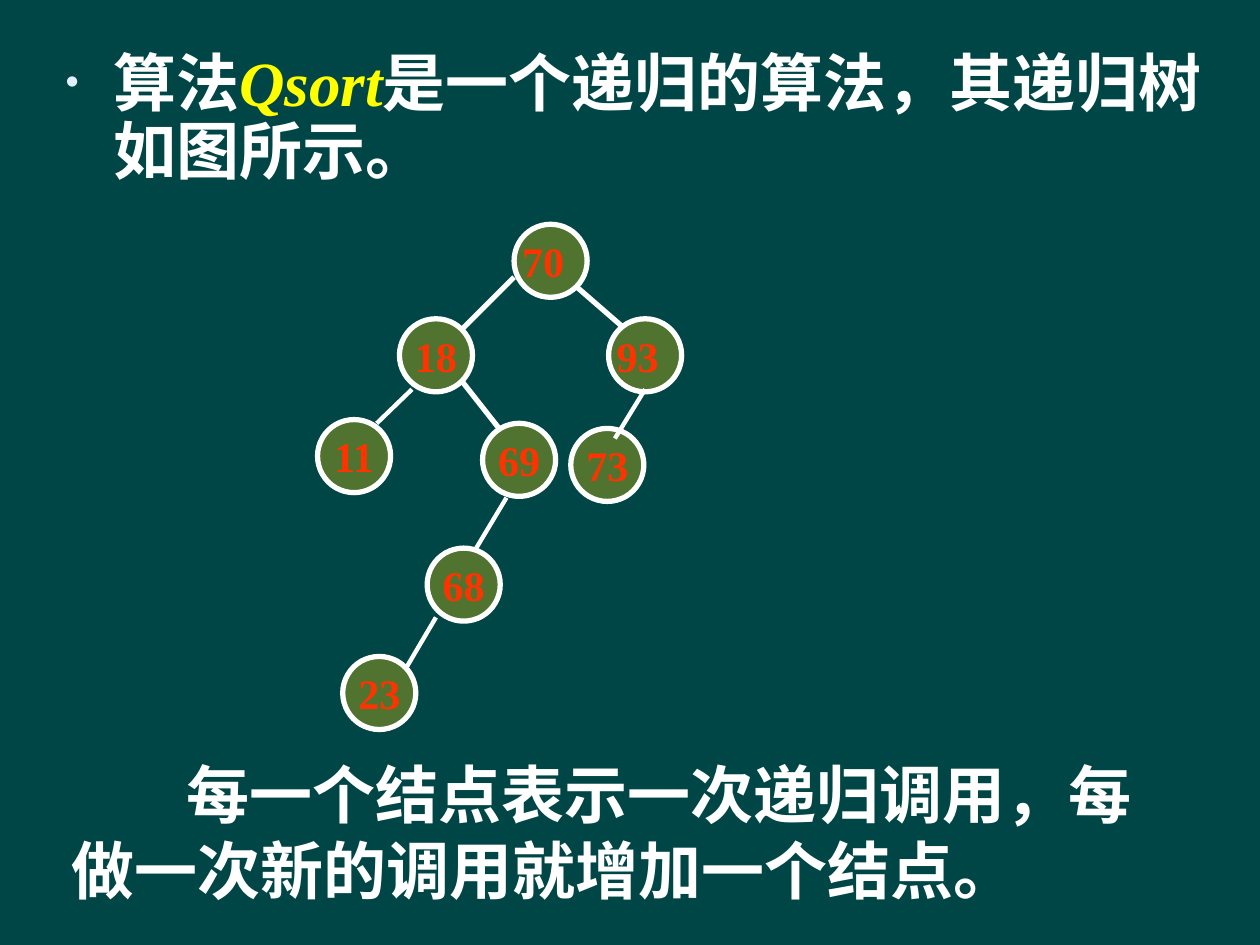
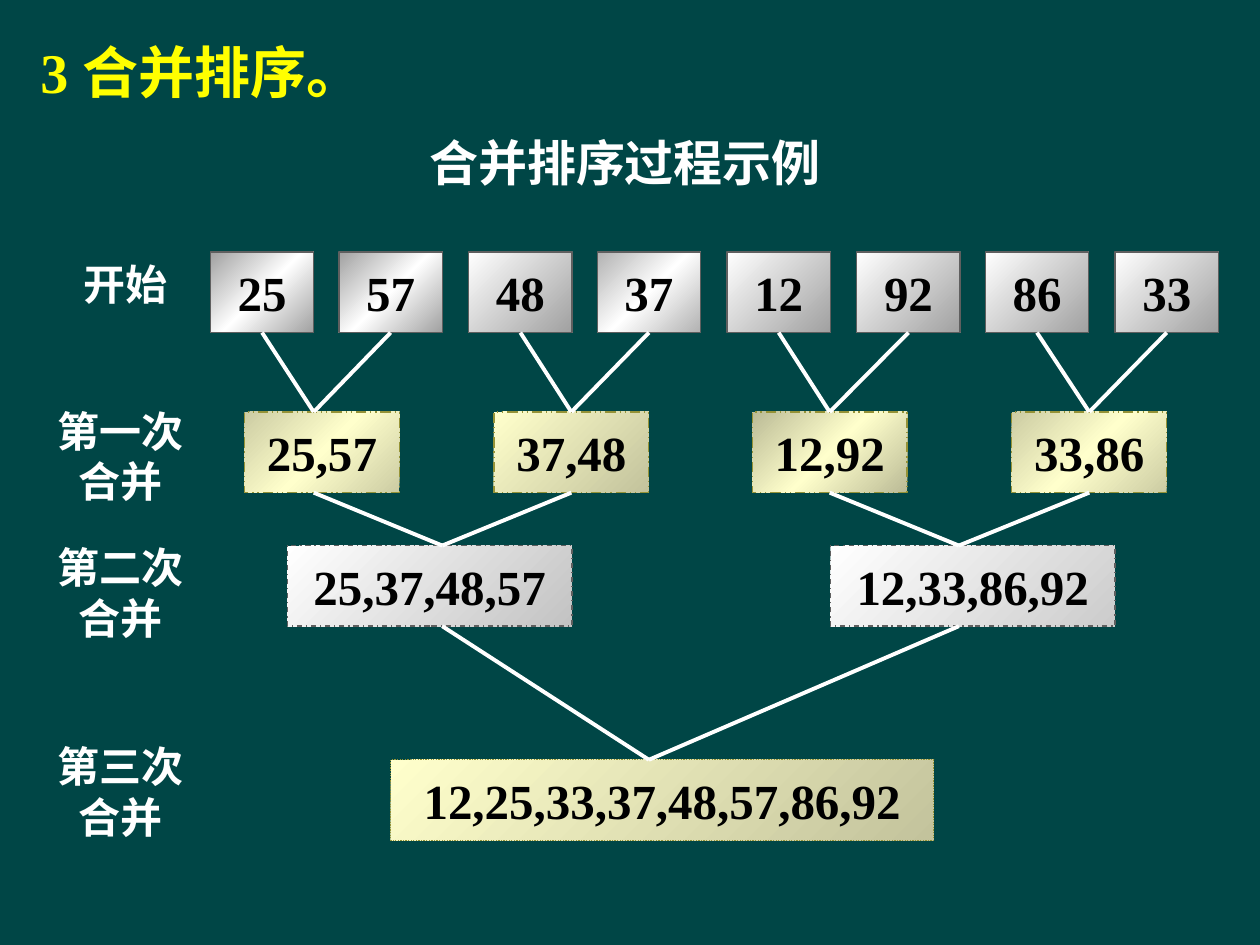
from pptx import Presentation
from pptx.dml.color import RGBColor
from pptx.enum import dml, shapes, text
from pptx.oxml import parse_xml
from pptx.oxml.ns import nsdecls
from pptx.util import Inches, Pt

BACKGROUND, WHITE, YELLOW, BLACK = "004646", "FFFFFF", "FFFF00", "000000"
NODE_FILL, NODE_TEXT, BULLET = "50742F", "FF3300", "E1F0FF"
SERIF, SANS = "Times New Roman", "Noto Sans CJK SC"

INTRO = [("算法", WHITE, False), ("Qsort", YELLOW, True),
         ("是一个递归的算法，其递归树如图所示。", WHITE, False)]
NOTE = "每一个结点表示一次递归调用，每做一次新的调用就增加一个结点。"
DIAMETER = 0.58
NODES = [("73", 4.53, 3.4, 0), ("70", 4.08, 1.78, 0.12), ("93", 4.83, 2.53, 0.12),
         ("18", 3.17, 2.53, 0), ("69", 3.83, 3.36, 0), ("68", 3.39, 4.35, 0),
         ("23", 2.72, 5.21, 0), ("11", 2.52, 3.33, 0)]
UPPER_BRANCHES = [(3.67, 3.03, 4, 3.45), (4.58, 2.28, 4.96, 2.61), (4.08, 2.2, 3.67, 2.61)]
LOWER_BRANCHES = [(3.27, 3.09, 2.99, 3.36), (4.02, 3.95, 3.78, 4.35),
                  (3.46, 4.9, 3.23, 5.29), (5.12, 3.09, 4.88, 3.48)]

HEADING = "3 合并排序。"
CAPTION = "合并排序过程示例"
STAGES = [("开始", 0.5, 2, 1), ("第一次合并", 0.33, 3.17, 1.25),
          ("第二次合并", 0.33, 4.25, 1.25), ("第三次合并", 0.33, 5.83, 1.25)]
SILVER, SILVER_BAND = ("FFFFFF", "A1A1A1"), ("A1A1A1", "FFFFFF", "A1A1A1")
CREAM, CREAM_BAND = ("FFFFCC", "C3C39C"), ("CCCCA3", "FFFFCC", "CCCCA3")
BOX_HEIGHT = 0.64
DASH = dml.MSO_LINE
LEVELS = [
    dict(top=2, width=0.82, line="5F5F5F", dash=None, joint=2.08, pitch=1.03, boxes=[
        ("25", 1.67, SILVER_BAND), ("57", 2.69, SILVER_BAND), ("48", 3.72, SILVER),
        ("37", 4.74, ("B2B2B2", "FFFFFF", "B2B2B2")), ("12", 5.77, SILVER),
        ("92", 6.8, SILVER), ("86", 7.82, SILVER), ("33", 8.85, SILVER)]),
    dict(top=3.27, width=1.23, line="959337", dash=DASH.DASH_DOT_DOT,
         joint=2.49, pitch=2.05, boxes=[
             ("25,57", 1.94, CREAM_BAND), ("37,48", 3.92, CREAM),
             ("12,92", 5.97, ("BBBB96", "FFFFCC", "BBBB96")), ("33,86", 8.03, CREAM_BAND)]),
    dict(top=4.33, width=2.26, line="5F5F5F", dash=DASH.DASH_DOT,
         joint=3.51, pitch=4.1, boxes=[
             ("25,37,48,57", 2.28, ("FFFFFF", "C3C3C3")),
             ("12,33,86,92", 6.59, ("FFFFFF", "CCCCCC"))]),
    dict(top=6.03, width=4.31, line="959337", dash=DASH.ROUND_DOT,
         joint=5.15, pitch=0, boxes=[("12,25,33,37,48,57,86,92", 3.1, CREAM)]),
]


def color(value):
    return RGBColor.from_string(value)


def place(shape, left, top, width, height):
    shape.left, shape.top = Inches(left), Inches(top)
    shape.width, shape.height = Inches(width), Inches(height)


def add_run(paragraph, words, size, tint, font=SERIF, italic=False):
    run = paragraph.add_run()
    run.text = words
    run.font.size, run.font.bold, run.font.italic = Pt(size), True, italic
    run.font.color.rgb = color(tint)
    run.font.name = font
    run._r.get_or_add_rPr().append(parse_xml(f'<a:ea {nsdecls("a")} typeface="{SANS}"/>'))


def add_label(slide, words, left, top, width, height, size, font=SANS, align=text.PP_ALIGN.CENTER):
    label = slide.shapes.add_textbox(*map(Inches, (left, top, width, height)))
    label.text_frame.word_wrap = True
    paragraph = label.text_frame.paragraphs[0]
    paragraph.alignment = align
    add_run(paragraph, words, size, WHITE, font)
    return paragraph


def add_line(slide, x1, y1, x2, y2, weight):
    line = slide.shapes.add_connector(
        shapes.MSO_CONNECTOR.STRAIGHT, *map(Inches, (x1, y1, x2, y2)))
    line.line.color.rgb = color(WHITE)
    line.line.width = Pt(weight)
    line._element.spPr.append(parse_xml(f'<a:effectLst {nsdecls("a")}/>'))
    return line


def add_cell(slide, preset, words, left, top, width, height, size, tint, outline, weight):
    cell = slide.shapes.add_shape(preset, *map(Inches, (left, top, width, height)))
    cell.shadow.inherit = False
    cell.line.color.rgb = color(outline)
    cell.line.width = Pt(weight)
    frame = cell.text_frame
    frame.vertical_anchor = text.MSO_ANCHOR.MIDDLE
    frame.margin_left = frame.margin_right = 0
    frame.paragraphs[0].alignment = text.PP_ALIGN.CENTER
    add_run(frame.paragraphs[0], words, size, tint)
    return cell


def fill_gradient(shape, tints):
    stops = "".join(
        f'<a:gs pos="{i * 100000 // (len(tints) - 1)}"><a:srgbClr val="{tint}"/></a:gs>'
        for i, tint in enumerate(tints))
    shape._element.spPr.prstGeom.addnext(parse_xml(
        f'<a:gradFill {nsdecls("a")} rotWithShape="1"><a:gsLst>{stops}</a:gsLst>'
        '<a:lin ang="2700000" scaled="1"/></a:gradFill>'))


def start_text(holder):
    frame = holder.text_frame
    frame.auto_size = text.MSO_AUTO_SIZE.NONE
    frame.vertical_anchor = text.MSO_ANCHOR.TOP
    paragraph = frame.paragraphs[0]
    paragraph.alignment = text.PP_ALIGN.LEFT
    paragraph.space_before = Pt(0)
    return paragraph


def build_tree(prs):
    slide = prs.slides.add_slide(prs.slide_layouts[1])
    title = slide.shapes.title._element
    title.getparent().remove(title)
    intro = slide.placeholders[1]
    place(intro, 0.42, 0.36, 9.58, 1.27)
    paragraph = start_text(intro)
    paragraph.line_spacing = 0.9
    props = paragraph._p.get_or_add_pPr()
    props.set("marL", str(Inches(0.38)))
    props.set("indent", str(Inches(-0.38)))
    for bullet in (f'buClr {nsdecls("a")}><a:srgbClr val="{BULLET}"/></a:buClr>',
                   f'buSzPct {nsdecls("a")} val="60000"/>',
                   f'buChar {nsdecls("a")} char="•"/>'):
        props.append(parse_xml("<a:" + bullet))
    for words, tint, italic in INTRO:
        add_run(paragraph, words, 36, tint, italic=italic)

    for branch in UPPER_BRANCHES:
        add_line(slide, *branch, 3)
    for value, left, top, right_margin in NODES:
        node = add_cell(slide, shapes.MSO_SHAPE.OVAL, value, left, top,
                        DIAMETER, DIAMETER, 24, NODE_TEXT, WHITE, 3)
        node.fill.solid()
        node.fill.fore_color.rgb = color(NODE_FILL)
        node.text_frame.word_wrap = False
        node.text_frame.margin_right = Inches(right_margin)
    for branch in LOWER_BRANCHES:
        add_line(slide, *branch, 2.5)
    note = add_label(slide, NOTE, 0.47, 5.95, 8.94, 1.3, 36, SERIF, text.PP_ALIGN.LEFT)
    note._p.get_or_add_pPr().set("indent", str(Inches(0.91)))


def build_merge(prs):
    slide = prs.slides.add_slide(prs.slide_layouts[5])
    heading = slide.shapes.title
    place(heading, 0, 0.25, 10, 0.75)
    heading.text_frame.margin_left = Inches(0.32)
    add_run(start_text(heading), HEADING, 32, YELLOW)
    add_label(slide, CAPTION, 2.42, 1, 5.08, 0.57, 28)
    for words, left, top, width in STAGES:
        add_label(slide, words, left, top, width, 0.5 if width == 1 else 0.9, 24)

    rows = []
    for level in LEVELS:
        row = []
        for i, (values, left, tints) in enumerate(level["boxes"]):
            box = add_cell(slide, shapes.MSO_SHAPE.RECTANGLE, values, left, level["top"],
                           level["width"], BOX_HEIGHT, 28, BLACK, level["line"], 0.75)
            fill_gradient(box, tints)
            if level["dash"]:
                box.line.dash_style = level["dash"]
            joint = level["joint"] + i * level["pitch"]
            centred = abs(left + level["width"] / 2 - joint) < 0.05
            row.append((box, joint, centred))
        rows.append(row)

    for upper, lower, parts, merged in zip(LEVELS, LEVELS[1:], rows, rows[1:]):
        for i, (part, x1, part_centred) in enumerate(parts):
            whole, x2, whole_centred = merged[i // 2]
            line = add_line(slide, x1, upper["top"] + BOX_HEIGHT, x2, lower["top"], 2.25)
            if part_centred:
                line.begin_connect(part, 2)
            if whole_centred:
                line.end_connect(whole, 0)


def main():
    prs = Presentation()
    prs.slide_width, prs.slide_height = Inches(10), Inches(7.5)
    backdrop = prs.slide_master.background.fill
    backdrop.solid()
    backdrop.fore_color.rgb = color(BACKGROUND)
    build_tree(prs)
    build_merge(prs)
    prs.save("out.pptx")


if __name__ == "__main__":
    main()
